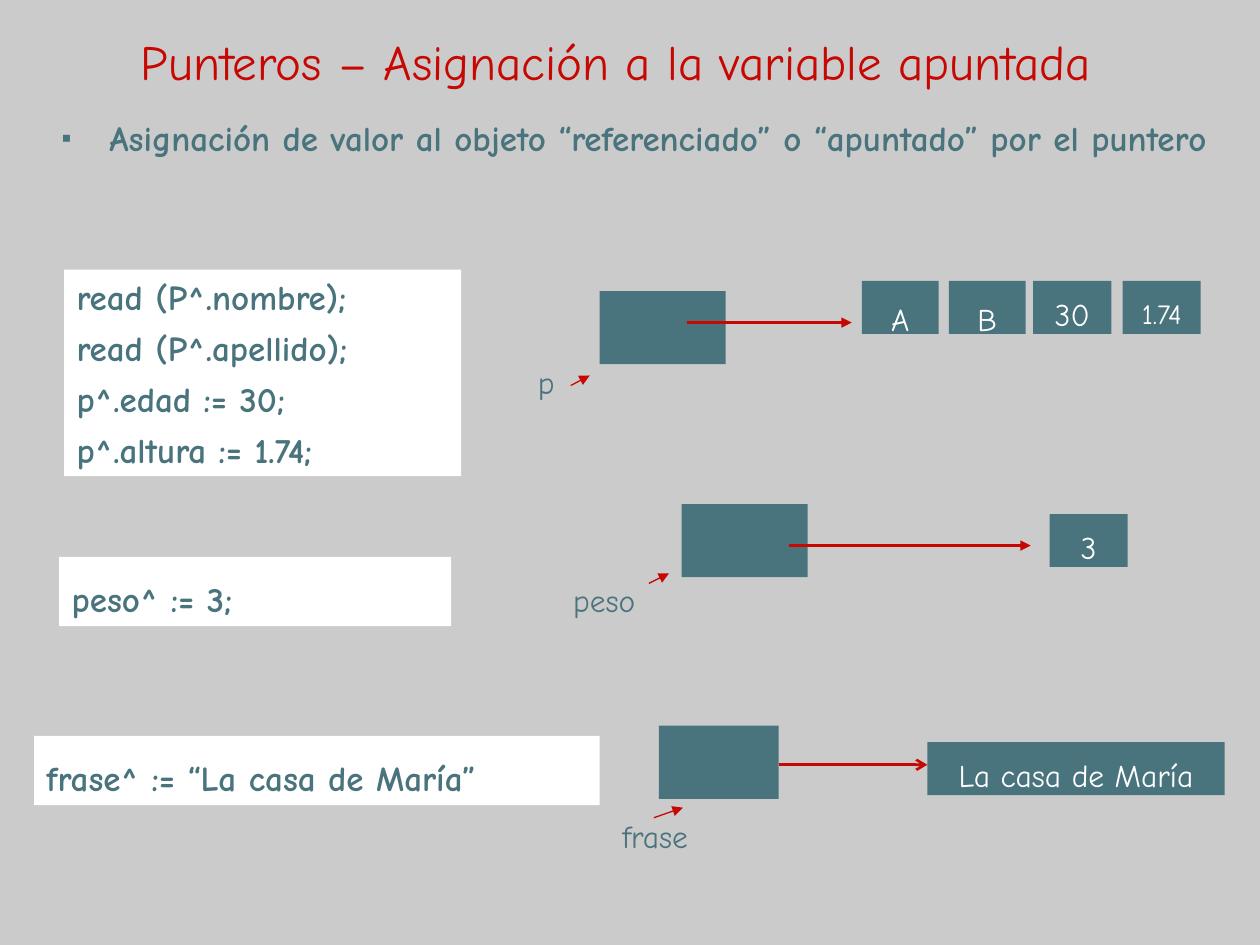
import pptx
import pptx.util
import pptx.dml.color
import pptx.enum.shapes
import pptx.enum.text
import pptx.oxml
import pptx.oxml.ns

Inches = pptx.util.Inches
Pt = pptx.util.Pt
RGBColor = pptx.dml.color.RGBColor
Align = pptx.enum.text.PP_ALIGN
Anchor = pptx.enum.text.MSO_ANCHOR
RECT = pptx.enum.shapes.MSO_SHAPE.RECTANGLE
LINE = pptx.enum.shapes.MSO_CONNECTOR.STRAIGHT

GREY = RGBColor(0xCB, 0xCB, 0xCB)
TEAL = RGBColor(0x49, 0x74, 0x7D)
RED = RGBColor(0xC6, 0x07, 0x02)
WHITE = RGBColor(0xFF, 0xFF, 0xFF)
FONT = "Comic Neue"


def add_xml(parent, tag, **attrs):
    node = pptx.oxml.parse_xml(f"<a:{tag} {pptx.oxml.ns.nsdecls('a')}/>")
    for key, value in attrs.items():
        node.set(key, str(value))
    parent.append(node)


def write(shape, text, size, color, bold=False, align=Align.JUSTIFY,
          anchor=Anchor.TOP, wrap=True, gap=0, spacing=None):
    frame = shape.text_frame
    frame.text = text
    frame.word_wrap = wrap
    frame.vertical_anchor = anchor
    for i, para in enumerate(frame.paragraphs):
        para.alignment = align
        para.line_spacing = spacing
        para.space_before = Pt(gap if i else 0)
        for run in para.runs:
            font = run.font
            font.name, font.size, font.bold = FONT, Pt(size), bold
            font.color.rgb = color


def add_rect(shapes, left, top, width, height, color):
    rect = shapes.add_shape(RECT, Inches(left), Inches(top),
                            Inches(width), Inches(height))
    rect.shadow.inherit = False
    rect.fill.solid()
    rect.fill.fore_color.rgb = color
    rect.line.fill.background()
    return rect


def add_arrow(shapes, x1, y1, x2, y2, width, head="triangle"):
    arrow = shapes.add_connector(LINE, Inches(x1), Inches(y1),
                                 Inches(x2), Inches(y2))
    arrow.line.color.rgb = RED
    arrow.line.width = Pt(width)
    add_xml(arrow.line._get_or_add_ln(), "tailEnd", type=head)
    add_xml(arrow._element.spPr, "effectLst")


def add_title(slide, left, top, width, height):
    title = slide.shapes.title
    title.left, title.top = Inches(left), Inches(top)
    title.width, title.height = Inches(width), Inches(height)
    write(title, "Punteros – Asignación a la variable apuntada", 28, RED,
          align=Align.CENTER, anchor=Anchor.MIDDLE)


def add_intro(slide, left, top, width, height):
    box = slide.shapes.add_textbox(Inches(left), Inches(top),
                                   Inches(width), Inches(height))
    write(box, "Asignación de valor al objeto “referenciado” o “apuntado” "
          "por el puntero", 20, TEAL, bold=True, spacing=0.9)
    # Hanging square bullet
    props = box.text_frame.paragraphs[0]._p.get_or_add_pPr()
    props.set("marL", str(Inches(0.38)))
    props.set("indent", str(-Inches(0.38)))
    add_xml(props, "buSzPct", val=80000)
    add_xml(props, "buFont", typeface="Arial")
    add_xml(props, "buChar", char="▪")


def add_code(slide, left, top, width, height, lines, spacing=None):
    box = add_rect(slide.shapes, left, top, width, height, WHITE)
    write(box, "\n".join(lines), 20, TEAL, bold=True, gap=5, spacing=spacing)


def add_pointer(slide, left, top, width, name, label, hint, link, cells,
                head="triangle"):
    """Draw a pointer box; all other places are offsets from its corner."""
    shapes = slide.shapes.add_group_shape().shapes
    add_rect(shapes, left, top, width, 0.58, TEAL)

    # Name of the pointer and the small arrow to its box
    dx, dy, wide = label
    text = shapes.add_textbox(Inches(left + dx), Inches(top + dy),
                              Inches(wide), Inches(0.51))
    write(text, name, 18, TEAL, spacing=1.35)
    x1, y1, x2, y2 = hint
    add_arrow(shapes, left + x1, top + y1, left + x2, top + y2, 0.75)

    # Cells of the object pointed to
    for dx, dy, wide, value, size, anchor in cells:
        cell = add_rect(shapes, left + dx, top + dy, wide, 0.42, TEAL)
        write(cell, value, size, WHITE, align=Align.CENTER, anchor=anchor,
              wrap=False, spacing=1.35)

    # Reference from the pointer to the object
    x1, x2, dy = link
    add_arrow(shapes, left + x1, top + dy, left + x2, top + dy, 1.5, head)


def main():
    deck = pptx.Presentation()
    deck.slide_width, deck.slide_height = Inches(10), Inches(7.5)
    slide = deck.slides.add_slide(deck.slide_layouts[5])
    slide.background.fill.solid()
    slide.background.fill.fore_color.rgb = GREY

    add_title(slide, 0.79, 0, 8.19, 0.96)
    add_intro(slide, 0.39, 0.91, 9.37, 1.02)

    # Record
    add_code(slide, 0.51, 2.14, 3.15, 1.64,
             ["read (P^.nombre);", "read (P^.apellido);",
              "p^.edad := 30;", "p^.altura := 1.74;"])
    add_pointer(slide, 4.76, 2.31, 1, "p", (-0.59, 0.42, 0.85),
                (-0.23, 0.75, -0.08, 0.67), (0.69, 2, 0.25),
                [(2.08, -0.08, 0.61, "A", 18, Anchor.TOP),
                 (2.77, -0.08, 0.61, "B", 18, Anchor.TOP),
                 (3.44, -0.08, 0.62, "30", 18, Anchor.MIDDLE),
                 (4.15, -0.08, 0.62, "1.74", 16, Anchor.MIDDLE)])

    # Number
    add_code(slide, 0.47, 4.42, 3.11, 0.55, ["peso^ := 3;"], 1.35)
    add_pointer(slide, 5.41, 4, 1, "peso", (-0.96, 0.46, 1.92),
                (-0.26, 0.63, -0.1, 0.55), (0.85, 2.77, 0.33),
                [(2.92, 0.08, 0.62, "3", 18, Anchor.MIDDLE)])

    # String
    add_code(slide, 0.27, 5.84, 4.49, 0.55,
             ["frase^ := “La casa de María”"], 1.35)
    add_pointer(slide, 5.23, 5.76, 0.95, "frase", (-0.39, 0.57, 1.25),
                (-0.04, 0.73, 0.19, 0.65), (0.95, 2.13, 0.31),
                [(2.13, 0.13, 2.36, "La casa de María", 18, Anchor.MIDDLE)],
                head="arrow")

    deck.save("out.pptx")


if __name__ == "__main__":
    main()
